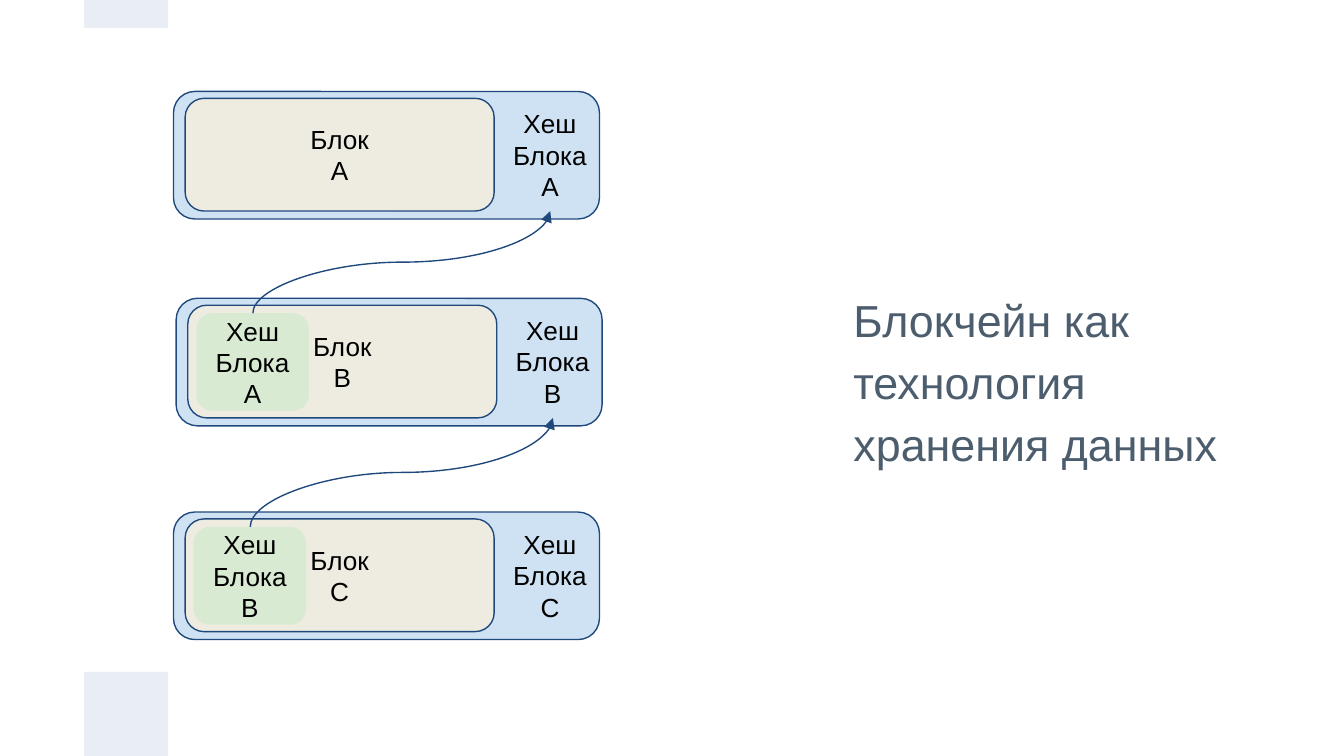
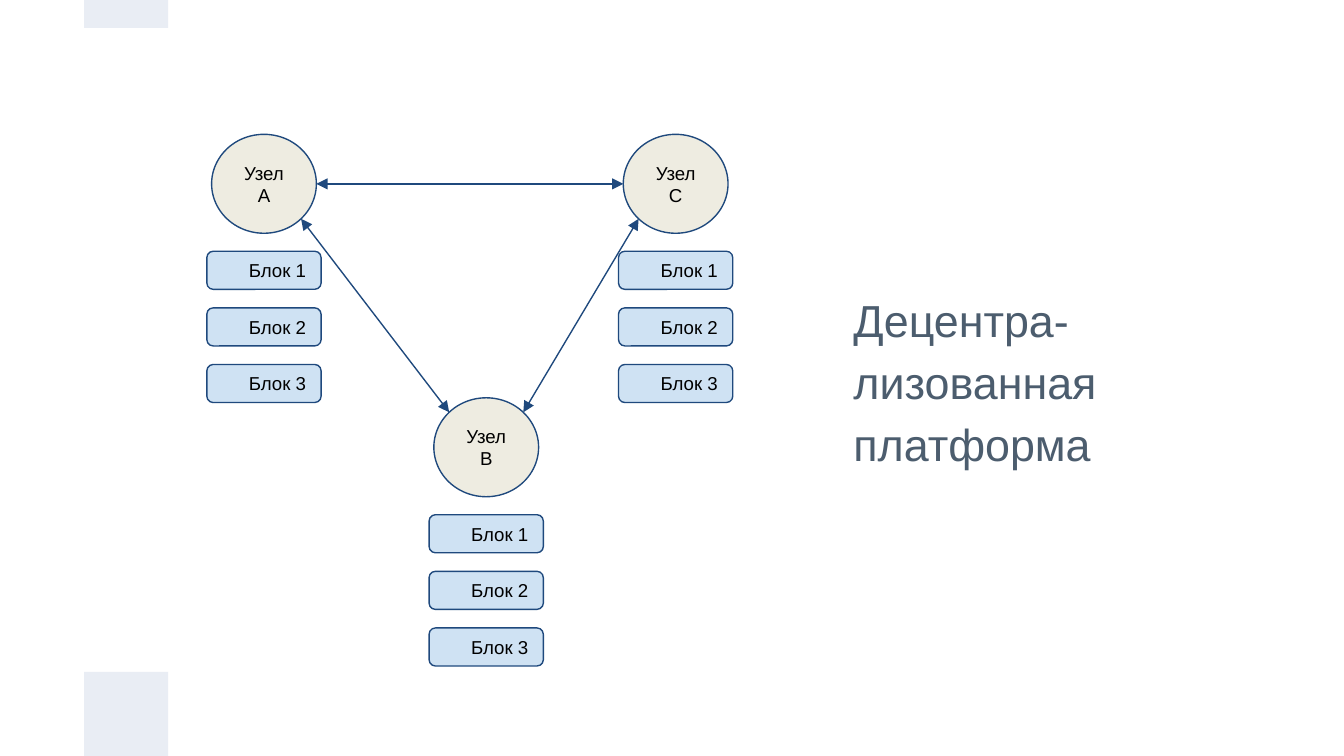
from math import sqrt

from lxml.etree import SubElement
from pptx import Presentation
from pptx.dml.color import RGBColor
from pptx.enum.shapes import MSO_CONNECTOR, MSO_SHAPE
from pptx.enum.text import MSO_ANCHOR, MSO_AUTO_SIZE, PP_ALIGN
from pptx.oxml.ns import qn
from pptx.util import Cm, Pt

SLATE = RGBColor(0x4C, 0x5D, 0x6E)
BAND = RGBColor(0xE9, 0xED, 0xF4)
NAVY = RGBColor(0x1F, 0x49, 0x7D)
BLUE = RGBColor(0xCF, 0xE2, 0xF3)
BEIGE = RGBColor(0xEE, 0xEC, 0xE1)
GREEN = RGBColor(0xD9, 0xEA, 0xD3)
BLACK = RGBColor(0, 0, 0)

FONT = "Arial"
INSET = Cm(0.25)
LINE_WIDTH = Pt(0.75)


class Deck:
    def __init__(self):
        self.prs = Presentation()
        self.prs.slide_width = Cm(25.4)
        self.prs.slide_height = Cm(14.29)
        self.s = None

    def slide(self, *title_lines):
        self.s = self.prs.slides.add_slide(self.prs.slide_layouts[5])
        self.title(title_lines)
        self.shape(MSO_SHAPE.RECTANGLE, 1.59, 12.7, 1.59, 1.59, BAND)
        self.shape(MSO_SHAPE.RECTANGLE, 1.59, 0, 1.59, 0.53, BAND)

    def title(self, lines):
        sp = self.s.shapes.title
        sp.left, sp.top, sp.width, sp.height = Cm(15.88), Cm(1.59), Cm(7.92), Cm(11.1)
        p = self.frame(sp).paragraphs[0]
        p.alignment = PP_ALIGN.LEFT
        p.line_spacing = 1.15
        for i, line in enumerate(lines):
            if i:
                p.add_line_break()
            self.run(p, line, 24, SLATE)

    def frame(self, sp):
        tf = sp.text_frame
        tf.word_wrap = True
        tf.auto_size = MSO_AUTO_SIZE.NONE
        tf.vertical_anchor = MSO_ANCHOR.MIDDLE
        tf.margin_left = tf.margin_right = tf.margin_top = tf.margin_bottom = INSET
        return tf

    def run(self, p, text, size, color):
        r = p.add_run()
        r.text = text
        r.font.name = FONT
        r.font.size = Pt(size)
        r.font.color.rgb = color

    def shape(self, kind, x, y, w, h, fill=None, line=None):
        sp = self.s.shapes.add_shape(kind, Cm(x), Cm(y), Cm(w), Cm(h))
        sp.shadow.inherit = False
        if fill is None:
            sp.fill.background()
        else:
            sp.fill.solid()
            sp.fill.fore_color.rgb = fill
        if line is None:
            sp.line.fill.background()
        else:
            sp.line.color.rgb = line
            sp.line.width = LINE_WIDTH
        return sp

    def box(self, x, y, w, h, fill=None, line=None):
        return self.shape(MSO_SHAPE.ROUNDED_RECTANGLE, x, y, w, h, fill, line)

    def text(self, sp, lines, size, align=PP_ALIGN.CENTER):
        tf = self.frame(sp)
        for i, line in enumerate(lines):
            p = tf.add_paragraph() if i else tf.paragraphs[0]
            p.alignment = align
            self.run(p, line, size, BLACK)

    def connector(self, kind, x1, y1, x2, y2, ends):
        c = self.s.shapes.add_connector(kind, Cm(x1), Cm(y1), Cm(x2), Cm(y2))
        c.line.color.rgb = NAVY
        c.line.width = LINE_WIDTH
        sp_pr = c._element.spPr
        ln = sp_pr.find(qn("a:ln"))
        for end in ends:
            SubElement(ln, qn(end)).set("type", "triangle")
        SubElement(sp_pr, qn("a:effectLst"))
        return c

    def double_arrow(self, start, end):
        self.connector(MSO_CONNECTOR.STRAIGHT, *start, *end, ("a:headEnd", "a:tailEnd"))

    def rising_curve(self, start, end):
        (x1, y1), (x2, y2) = start, end
        cx, cy = (x1 + x2) / 2, (y1 + y2) / 2
        half_w, half_h = (y1 - y2) / 2, (x2 - x1) / 2
        c = self.connector(MSO_CONNECTOR.CURVE, cx - half_w, cy - half_h,
                           cx + half_w, cy + half_h, ("a:tailEnd",))
        c._element.spPr.find(qn("a:xfrm")).set("rot", str(270 * 60000))

    def hash_box(self, x, y, h, name, fill=None):
        self.text(self.box(x, y, 2.13, h, fill), ("Хеш", "Блока", name), 14)

    def chain_block(self, x, y, name, previous=None):
        self.box(x, y, 8.05, 2.41, BLUE, NAVY)
        body = self.box(x + 0.22, y + 0.13, 5.84, 2.13, BEIGE, NAVY)
        self.text(body, ("Блок", name), 14)
        self.hash_box(x + 6.05, y + 0.13, 2.13, name)
        if previous:
            px, py, previous_name = previous
            self.hash_box(x + 0.38, y + 0.28, 1.85, previous_name, GREEN)
            self.rising_curve((x + 1.45, y + 0.28), (px + 7.12, py + 2.26))

    def node(self, x, y, name):
        w, h = 1.98, 1.87
        circle = self.shape(MSO_SHAPE.OVAL, x, y, w, h, BEIGE, NAVY)
        self.text(circle, (f"Узел {name}",), 10)
        for i in range(3):
            bar = self.box(x - 0.09, y + 2.21 + 1.07 * i, 2.16, 0.72, BLUE, NAVY)
            self.text(bar, (f"Блок {i + 1}",), 10, PP_ALIGN.RIGHT)

        def rim(dx, dy):
            length = sqrt(dx * dx + dy * dy)
            return x + w / 2 * (1 + dx / length), y + h / 2 * (1 + dy / length)

        return rim


def main():
    deck = Deck()

    deck.slide("Блокчейн как технология хранения данных")
    previous = None
    for block in ((3.28, 1.73, "A"), (3.33, 5.64, "B"), (3.28, 9.68, "C")):
        deck.chain_block(*block, previous)
        previous = block

    deck.slide("Децентра-", "лизованная платформа")
    rim_a = deck.node(4, 2.54, "A")
    rim_b = deck.node(8.2, 7.52, "B")
    rim_c = deck.node(11.78, 2.54, "C")
    deck.double_arrow(rim_a(1, 0), rim_c(-1, 0))
    deck.double_arrow(rim_a(1, 1), rim_b(-1, -1))
    deck.double_arrow(rim_c(-1, 1), rim_b(1, -1))

    deck.prs.save("out.pptx")


if __name__ == "__main__":
    main()
